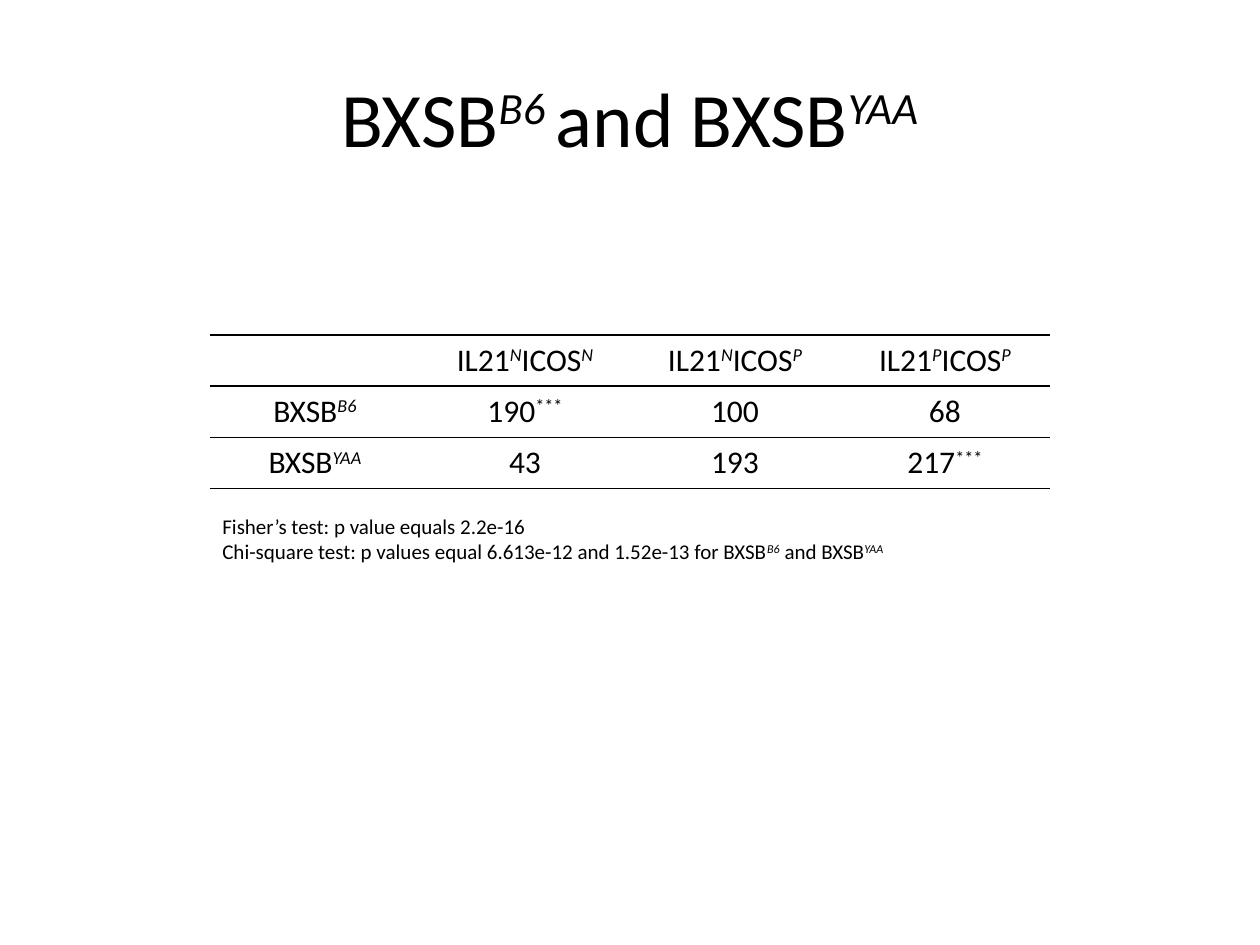
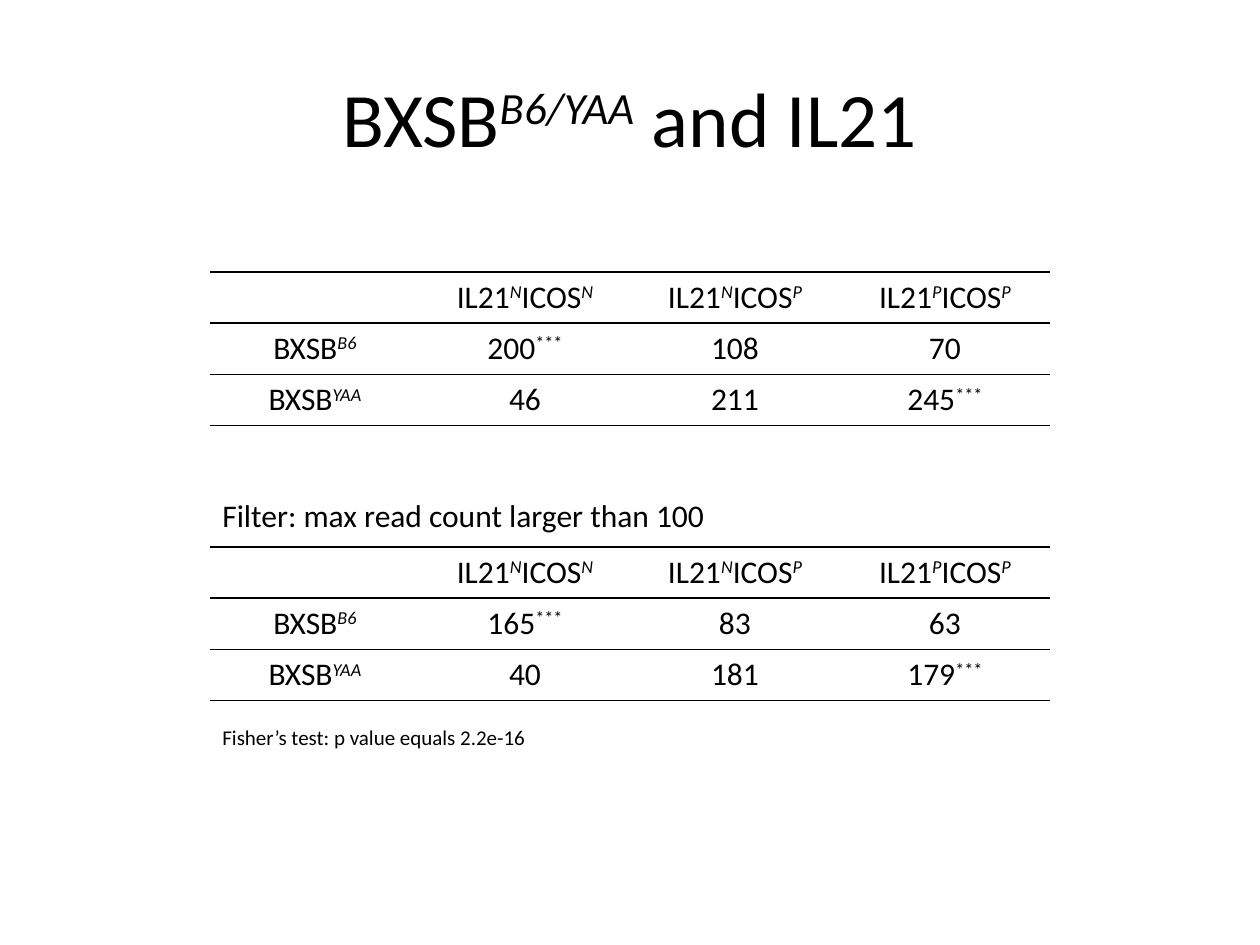
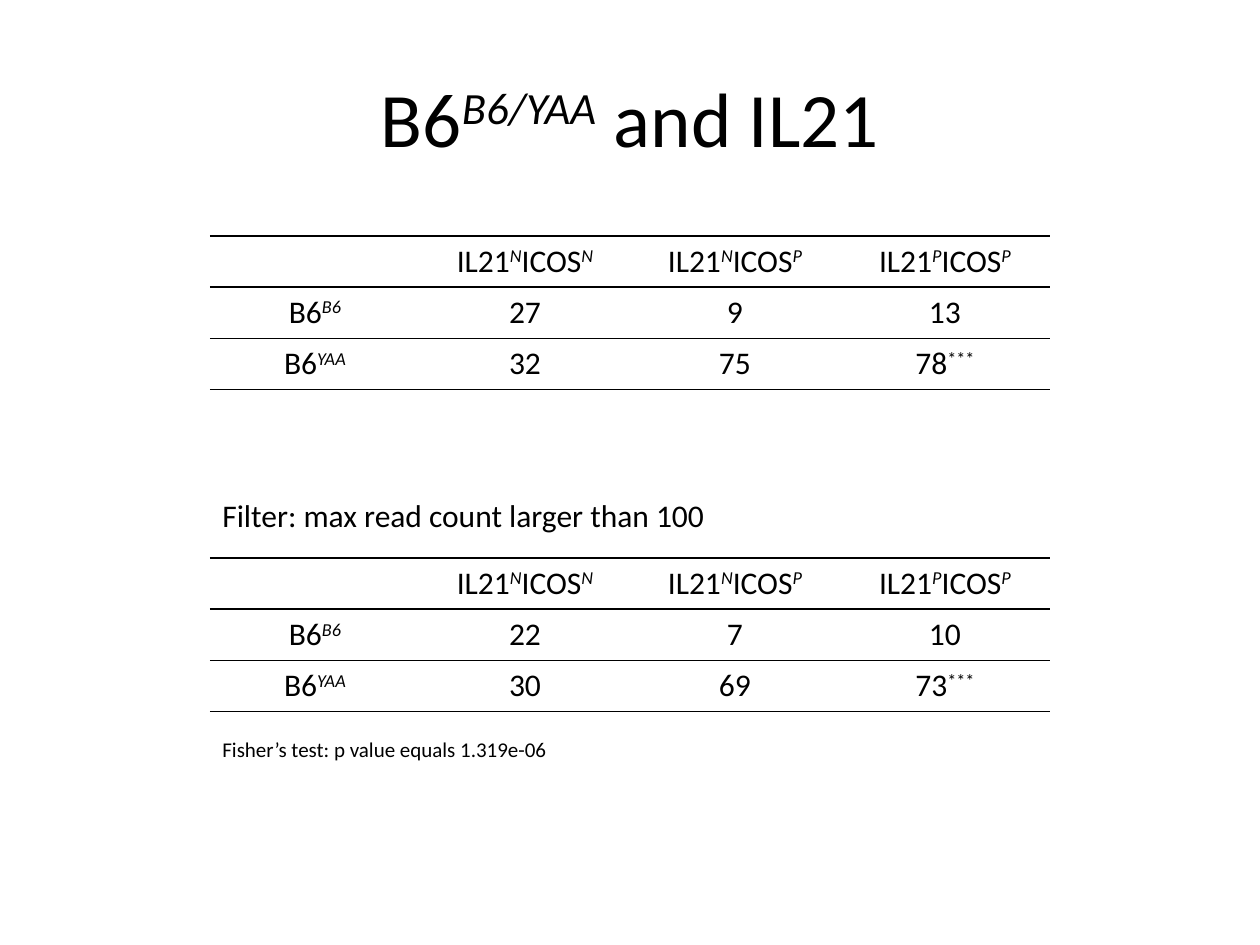
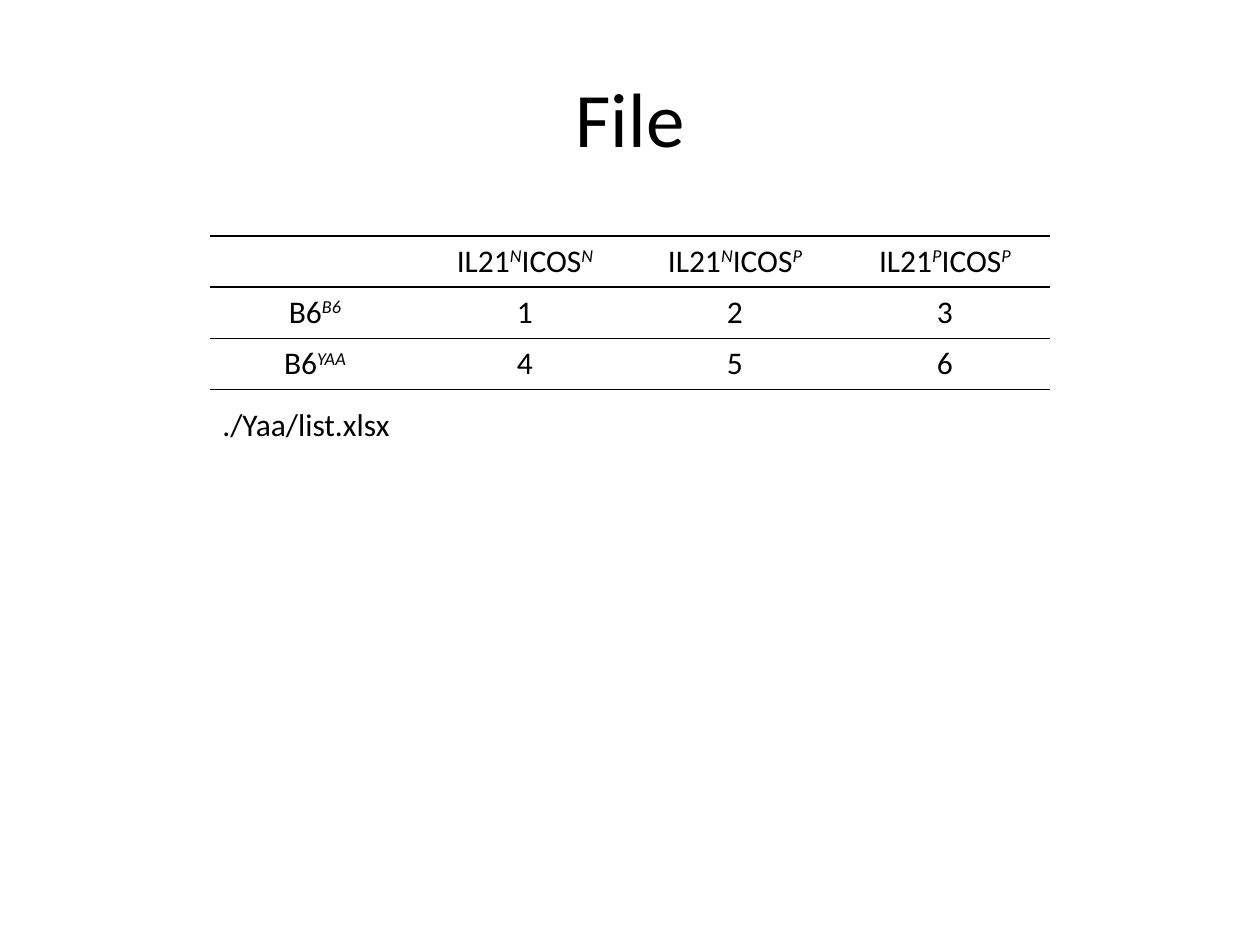
from lxml.etree import SubElement
from pptx import Presentation
from pptx.dml.color import RGBColor
from pptx.enum.text import MSO_ANCHOR as Anchor, MSO_AUTO_SIZE as AutoSize, PP_ALIGN as Align
from pptx.oxml.ns import qn
from pptx.util import Emu, Pt

BLACK = RGBColor(0, 0, 0)
FONT = "Calibri"
PX = 914400 / 126
TITLE_SIZE, BODY_SIZE, NOTE_SIZE = 44, 18, 12
LEFT, COLUMN_WIDTH, ROW_HEIGHT = 210, 210, 51
RULES = [(1, 1), (1, 0.5), (0.5, 1)]
HEADER = ["", "IL21^N^ICOS^N^", "IL21^N^ICOS^P^", "IL21^P^ICOS^P^"]
FILTER = (490, 527, 50, BODY_SIZE, False, ["Filter: max read count larger than 100"])

SLIDES = [
    {
        "title": "BXSB^B6 ^and BXSB^YAA^",
        "tables": [(335, "BXSB", ["190^***^", "100", "68"], ["43", "193", "217^***^"])],
        "texts": [(507, 769, 63, NOTE_SIZE, True, [
            "Fisher’s test: p value equals 2.2e-16",
            "Chi-square test: p values equal 6.613e-12 and 1.52e-13 for BXSB^B6^ and BXSB^YAA^",
        ])],
    },
    {
        "title": "BXSB^B6/YAA^ and IL21",
        "tables": [
            (272, "BXSB", ["200^***^", "108", "70"], ["46", "211", "245^***^"]),
            (547, "BXSB", ["165^***^", "83", "63"], ["40", "181", "179^***^"]),
        ],
        "texts": [
            (718, 769, 38, NOTE_SIZE, True, ["Fisher’s test: p value equals 2.2e-16"]),
            FILTER,
        ],
    },
    {
        "title": "B6^B6/YAA^ and IL21",
        "tables": [
            (236, "B6", ["27", "9", "13"], ["32", "75", "78^***^"]),
            (558, "B6", ["22", "7", "10"], ["30", "69", "73^***^"]),
        ],
        "texts": [
            (730, 769, 38, NOTE_SIZE, True, ["Fisher’s test: p value equals 1.319e-06"]),
            FILTER,
        ],
    },
    {
        "title": "File",
        "tables": [(236, "B6", ["1", "2", "3"], ["4", "5", "6"])],
        "texts": [(399, 197, 50, BODY_SIZE, False, ["./Yaa/list.xlsx"])],
    },
]


def px(*lengths):
    return [Emu(round(length * PX)) for length in lengths]


def write(paragraph, marked, size, align):
    paragraph.alignment = align
    paragraph.font.size = Pt(size)
    for index, part in enumerate(marked.split("^")):
        if not part:
            continue
        run = paragraph.add_run()
        run.text = part
        run.font.name = FONT
        run.font.size = Pt(size)
        run.font.color.rgb = BLACK
        if index % 2:
            run.font.italic = part != "***"
            run.font._element.set("baseline", "30000")


deck = Presentation()
deck.slide_width, deck.slide_height = px(1260, 945)

for content in SLIDES:
    slide = deck.slides.add_slide(deck.slide_layouts[5])
    title = slide.shapes.title
    title.left, title.top, title.width, title.height = px(63, 38, 1134, 157)
    title.text_frame.vertical_anchor = Anchor.MIDDLE
    write(title.text_frame.paragraphs[0], content["title"], TITLE_SIZE, Align.CENTER)

    for top, strain, b6_counts, yaa_counts in content["tables"]:
        rows = [HEADER, [f"{strain}^B6^", *b6_counts], [f"{strain}^YAA^", *yaa_counts]]
        place = px(LEFT, top, COLUMN_WIDTH * len(HEADER), ROW_HEIGHT * len(rows))
        counts = slide.shapes.add_table(len(rows), len(HEADER), *place).table
        counts.first_row = counts.horz_banding = False
        for row, values, (above, below) in zip(counts.rows, rows, RULES):
            for cell, value in zip(row.cells, values):
                write(cell.text_frame.paragraphs[0], value, BODY_SIZE, Align.CENTER)
                borders = cell._tc.get_or_add_tcPr()
                for side, points in zip("LRTB", (0, 0, above, below)):
                    line = SubElement(borders, qn(f"a:ln{side}"), w=str(Pt(points)))
                    if points:
                        fill = SubElement(line, qn("a:solidFill"))
                        SubElement(fill, qn("a:srgbClr"), val=str(BLACK))
                    else:
                        SubElement(line, qn("a:noFill"))
                cell.fill.background()

    for top, width, height, size, wraps, lines in content["texts"]:
        frame = slide.shapes.add_textbox(*px(LEFT, top, width, height)).text_frame
        frame.word_wrap = wraps
        frame.auto_size = AutoSize.SHAPE_TO_FIT_TEXT
        for index, line in enumerate(lines):
            paragraph = frame.add_paragraph() if index else frame.paragraphs[0]
            write(paragraph, line, size, Align.LEFT)

deck.save("out.pptx")
